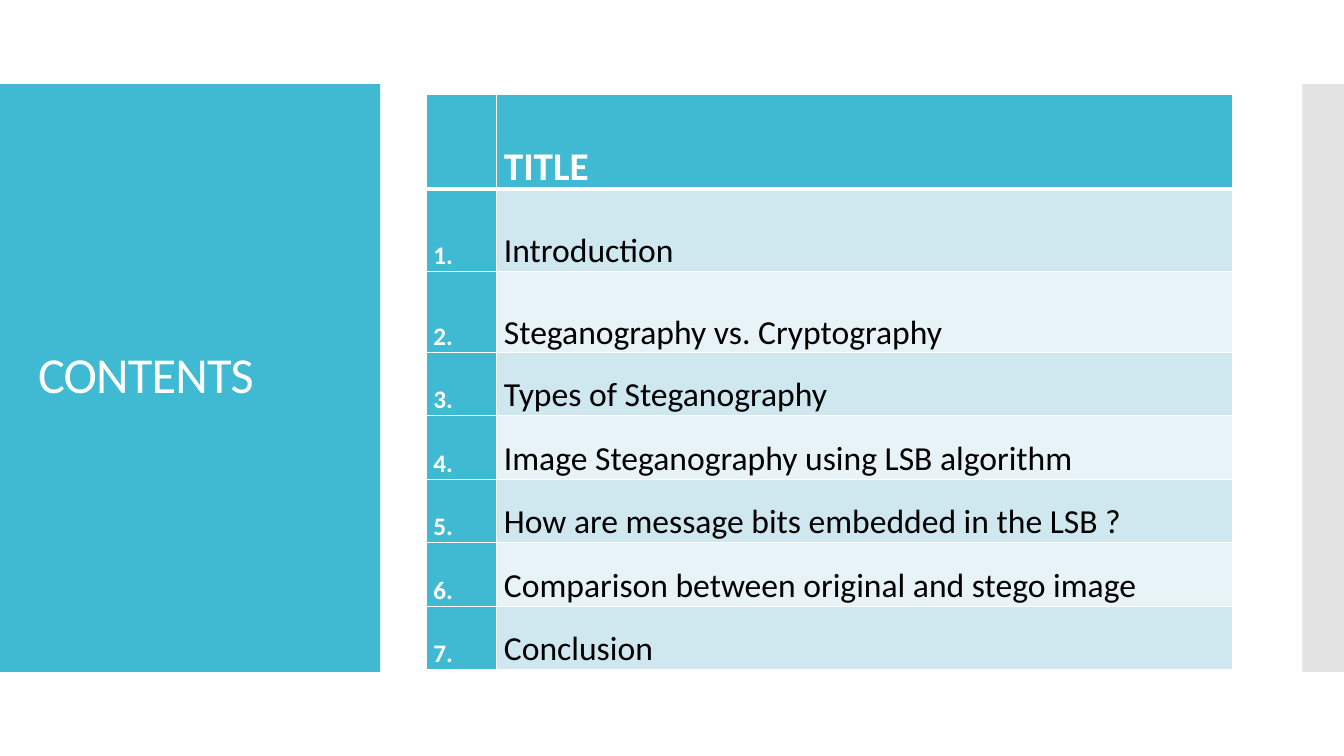
"""Build the contents slide: a title panel, an edge strip and a numbered table."""
from lxml.etree import SubElement
from pptx import Presentation
from pptx.dml.color import RGBColor
from pptx.enum.shapes import MSO_SHAPE
from pptx.enum.text import MSO_ANCHOR, PP_ALIGN
from pptx.oxml import parse_xml
from pptx.oxml.ns import nsdecls, qn
from pptx.util import Cm, Pt

TITLE = "CONTENTS"
HEADING = "TITLE"
TOPICS = [
    ("Introduction", PP_ALIGN.LEFT, 1.0, 2.08),
    ("Steganography vs. Cryptography", PP_ALIGN.JUSTIFY, 2.0, 1.6),
    ("Types of Steganography", PP_ALIGN.JUSTIFY, 1.07, 1.6),
    ("Image Steganography using LSB algorithm", PP_ALIGN.JUSTIFY, 1.07, 1.6),
    ("How are message bits embedded in the LSB ?", PP_ALIGN.JUSTIFY, 1.07, 1.6),
    ("Comparison between original and stego image", PP_ALIGN.JUSTIFY, 1.07, 1.6),
    ("Conclusion", PP_ALIGN.JUSTIFY, 1.07, 1.6),
]
HEADER_HEIGHT = 2.03
COLUMN_WIDTHS = (1.78, 18.54)
PANEL_TOP, PANEL_HEIGHT = 2.12, 14.81

FONT = "Calibri"
TEAL = RGBColor(0x40, 0xBA, 0xD2)
GREY = RGBColor(0xC8, 0xC8, 0xC8)
WHITE = RGBColor(0xFF, 0xFF, 0xFF)
BLACK = RGBColor(0x00, 0x00, 0x00)
BANDS = (RGBColor(0xCF, 0xE7, 0xEE), RGBColor(0xE8, 0xF3, 0xF7))


def add_panel(slide, left, width, color):
    panel = slide.shapes.add_shape(
        MSO_SHAPE.RECTANGLE, Cm(left), Cm(PANEL_TOP), Cm(width), Cm(PANEL_HEIGHT))
    panel.shadow.inherit = False
    panel.fill.solid()
    panel.fill.fore_color.rgb = color
    panel.line.fill.background()
    return panel


def write(paragraph, text, size, color, bold=False, spacing=1.0, align=PP_ALIGN.LEFT):
    paragraph.text = text
    paragraph.alignment = align
    paragraph.line_spacing = spacing
    for run in paragraph.runs:
        run.font.name = FONT
        run.font.size = Pt(size)
        run.font.bold = bold
        run.font.color.rgb = color


def style_cell(cell, color, top=1, bottom=1):
    cell.fill.solid()
    cell.fill.fore_color.rgb = color
    cell.margin_left = cell.margin_right = Cm(0.18)
    cell.margin_top = cell.margin_bottom = 0
    borders = (("lnL", 1), ("lnR", 1), ("lnT", top), ("lnB", bottom))
    for position, (side, width) in enumerate(borders):
        cell._tc.get_or_add_tcPr().insert(position, parse_xml(
            f'<a:{side} {nsdecls("a")} w="{Pt(width)}"><a:solidFill>'
            f'<a:srgbClr val="{WHITE}"/></a:solidFill></a:{side}>'))


def add_contents_table(slide):
    heights = [HEADER_HEIGHT] + [topic[3] for topic in TOPICS]
    table = slide.shapes.add_table(
        len(heights), len(COLUMN_WIDTHS), Cm(10.74), Cm(2.39),
        Cm(sum(COLUMN_WIDTHS)), Cm(sum(heights))).table
    for column, width in zip(table.columns, COLUMN_WIDTHS):
        column.width = Cm(width)
    for row, height in zip(table.rows, heights):
        row.height = Cm(height)

    for cell in table.rows[0].cells:
        style_cell(cell, TEAL, bottom=3)
    write(table.cell(0, 1).text_frame.paragraphs[0], HEADING, 28, WHITE, True, 2.0)

    for number, (topic, align, spacing, _) in enumerate(TOPICS, start=1):
        number_cell, topic_cell = table.rows[number].cells
        top = 3 if number == 1 else 1
        style_cell(number_cell, TEAL, top)
        style_cell(topic_cell, BANDS[(number - 1) % 2], top)
        number_cell.vertical_anchor = topic_cell.vertical_anchor = MSO_ANCHOR.BOTTOM
        write(number_cell.text_frame.paragraphs[0], f"{number}.", 18, WHITE, True,
              1.07, PP_ALIGN.JUSTIFY)
        write(topic_cell.text_frame.paragraphs[0], topic, 24, BLACK, False,
              spacing, align)


def main():
    presentation = Presentation()
    presentation.slide_width = Cm(33.87)
    presentation.slide_height = Cm(19.05)
    slide = presentation.slides.add_slide(presentation.slide_layouts[6])

    add_panel(slide, 0, 9.58, TEAL)
    strip = add_panel(slide, 32.82, 1.05, GREY)
    strip_color = strip._element.spPr.find(qn("a:solidFill"))[0]
    SubElement(strip_color, qn("a:alpha"), val="50000")

    title = slide.shapes.add_textbox(Cm(0.71), Cm(3.12), Cm(8.18), Cm(12.78))
    title.text_frame.word_wrap = True
    title.text_frame.vertical_anchor = MSO_ANCHOR.MIDDLE
    paragraph = title.text_frame.paragraphs[0]
    write(paragraph, TITLE, 36, WHITE, spacing=0.9)
    paragraph.runs[0]._r.get_or_add_rPr().set("spc", "-60")

    add_contents_table(slide)
    presentation.save("out.pptx")


if __name__ == "__main__":
    main()
